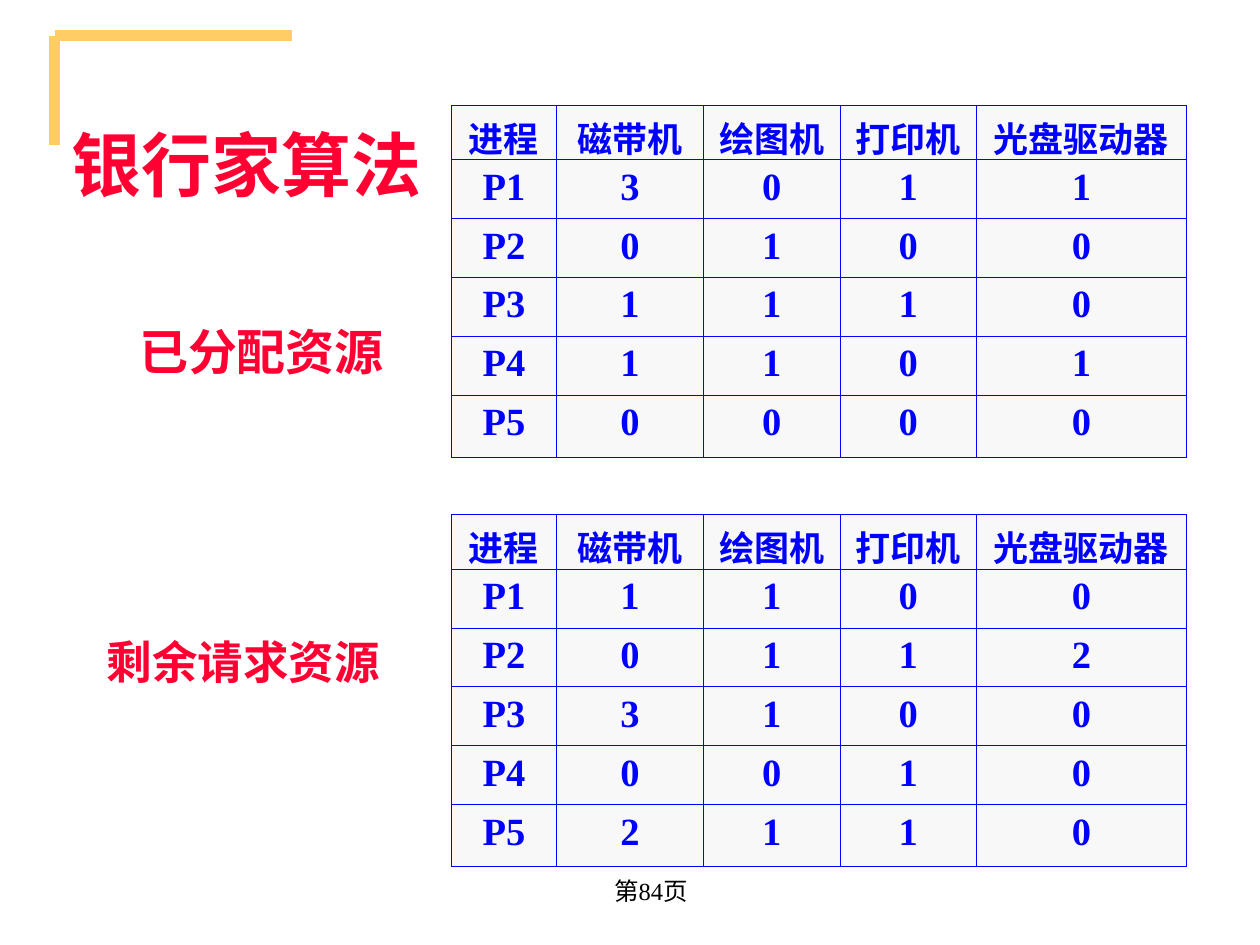
from lxml.etree import SubElement
from pptx import Presentation
from pptx.dml.color import RGBColor
from pptx.enum.shapes import MSO_CONNECTOR
from pptx.enum.text import MSO_ANCHOR, PP_ALIGN
from pptx.oxml.ns import qn
from pptx.util import Inches, Pt

COLORS = {
    "accent": "FFCC66",
    "heading": "FF0033",
    "table": "0000FF",
    "cell": "F8F8F8",
    "footer": "000000",
}
LATIN, CJK = "Times New Roman", "Noto Sans CJK SC"

# The slide is a grid of 120 columns by 90 rows, twelve to the inch
COLUMNS, ROWS = 120, 90
TABLE_COLUMNS = (10, 14, 13, 13, 20)
TABLE_ROWS = (5.2, 5.6, 5.6, 5.6, 5.6, 5.9)

DEVICES = ("进程", "磁带机", "绘图机", "打印机", "光盘驱动器")
ALLOCATED = ((3, 0, 1, 1), (0, 1, 0, 0), (1, 1, 1, 0), (1, 1, 0, 1), (0, 0, 0, 0))
REQUESTED = ((1, 1, 0, 0), (0, 1, 1, 2), (3, 1, 0, 0), (0, 0, 1, 0), (2, 1, 1, 0))


def grid(units):
    return Inches(units / 12)


def color(key):
    return RGBColor.from_string(COLORS[key])


def write(frame, text, size, color_key, bold=True, align=PP_ALIGN.CENTER, font=LATIN):
    paragraph = frame.paragraphs[0]
    paragraph.alignment = align
    run = paragraph.add_run()
    run.text = text
    run.font.size = Pt(size)
    run.font.bold = bold
    run.font.name = font
    run.font.color.rgb = color(color_key)
    SubElement(run.font._element, qn("a:ea"), typeface=CJK)


def add_label(slide, box, text, size, color_key="heading", anchor=MSO_ANCHOR.TOP, **style):
    frame = slide.shapes.add_textbox(*map(grid, box)).text_frame
    frame.word_wrap = True
    frame.vertical_anchor = anchor
    write(frame, text, size, color_key, **style)


def add_corner(slide, box):
    """Two thick lines along the top and left sides of the box."""
    left, top, width, height = box
    for right, bottom in ((left + width, top), (left, top + height)):
        line = slide.shapes.add_connector(
            MSO_CONNECTOR.STRAIGHT, *map(grid, (left, top, right, bottom)))
        line.line.color.rgb = color("accent")
        line.line.width = Pt(6)
        SubElement(line._element.spPr, qn("a:effectLst"))


def add_borders(cell):
    properties = cell._tc.get_or_add_tcPr()
    for position, side in enumerate(("lnL", "lnR", "lnT", "lnB")):
        border = SubElement(properties, qn(f"a:{side}"), w=str(Pt(0.45)))
        fill = SubElement(border, qn("a:solidFill"))
        SubElement(fill, qn("a:srgbClr"), val=COLORS["table"])
        # Borders come before the cell's fill
        properties.insert(position, border)


def add_resource_table(slide, left, top, counts):
    records = [DEVICES]
    records += [(f"P{number}", *row) for number, row in enumerate(counts, 1)]
    box = (left, top, sum(TABLE_COLUMNS), sum(TABLE_ROWS))
    table = slide.shapes.add_table(
        len(records), len(DEVICES), *map(grid, box)).table
    table.first_row = table.horz_banding = False
    for column, width in zip(table.columns, TABLE_COLUMNS):
        column.width = grid(width)
    for row, height in zip(table.rows, TABLE_ROWS):
        row.height = grid(height)
    for row_index, record in enumerate(records):
        for column_index, value in enumerate(record):
            cell = table.cell(row_index, column_index)
            cell.fill.solid()
            cell.fill.fore_color.rgb = color("cell")
            add_borders(cell)
            write(cell.text_frame, str(value), 22 if row_index else 20, "table")


def build_slide(slide):
    # Corner ornament and page number
    add_corner(slide, (5.2, 3.4, 22.6, 10.4))
    add_label(slide, (49.5, 81.8, 25, 6), "第84页", 14, "footer",
              anchor=MSO_ANCHOR.MIDDLE, bold=False)

    # Title and table captions
    add_label(slide, (5, 11, 37, 9.25), "银行家算法", 40, font=CJK)
    add_label(slide, (9, 59.75, 32.2, 8.2), "剩余请求资源", 26, align=PP_ALIGN.LEFT)
    add_label(slide, (10.8, 30, 28.2, 6.85), "已分配资源", 28)

    # Resource tables
    for top, counts in ((10, ALLOCATED), (49, REQUESTED)):
        add_resource_table(slide, 43, top, counts)


def main():
    presentation = Presentation()
    presentation.slide_width = grid(COLUMNS)
    presentation.slide_height = grid(ROWS)
    build_slide(presentation.slides.add_slide(presentation.slide_layouts[6]))
    presentation.save("out.pptx")


if __name__ == "__main__":
    main()
